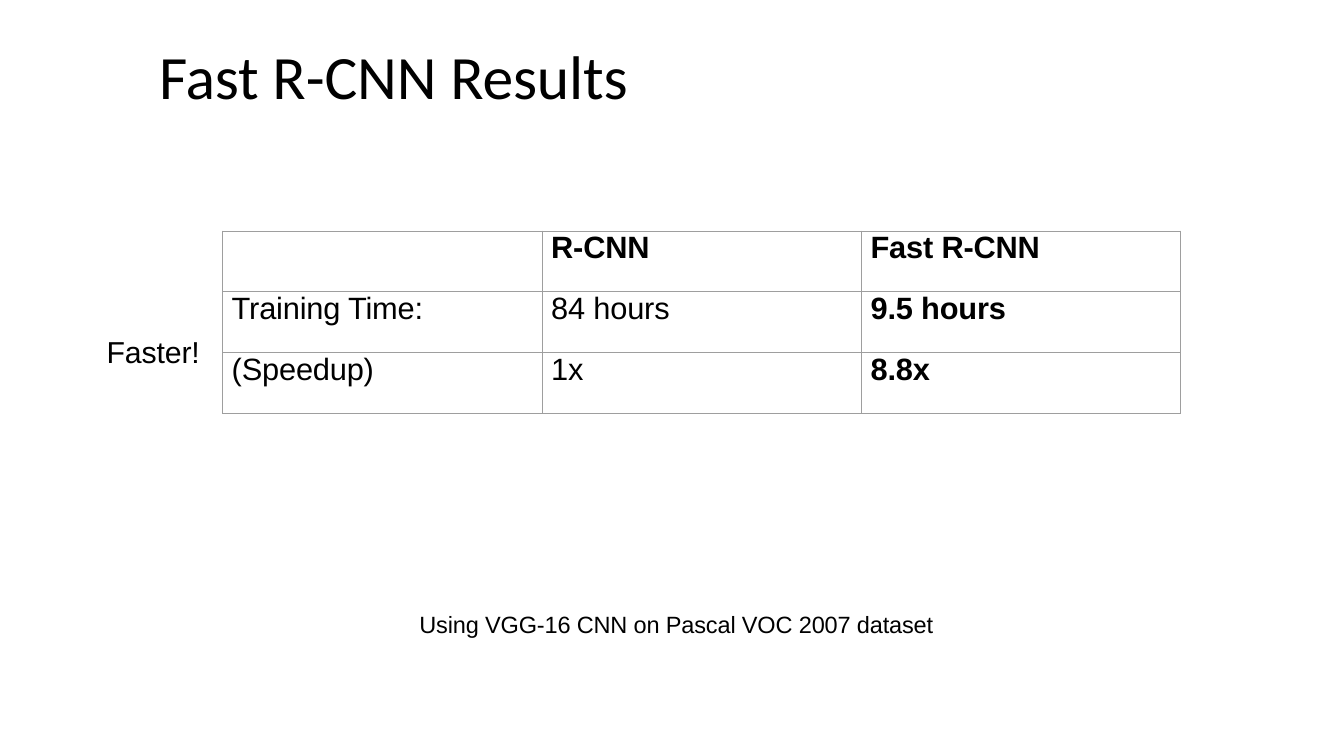
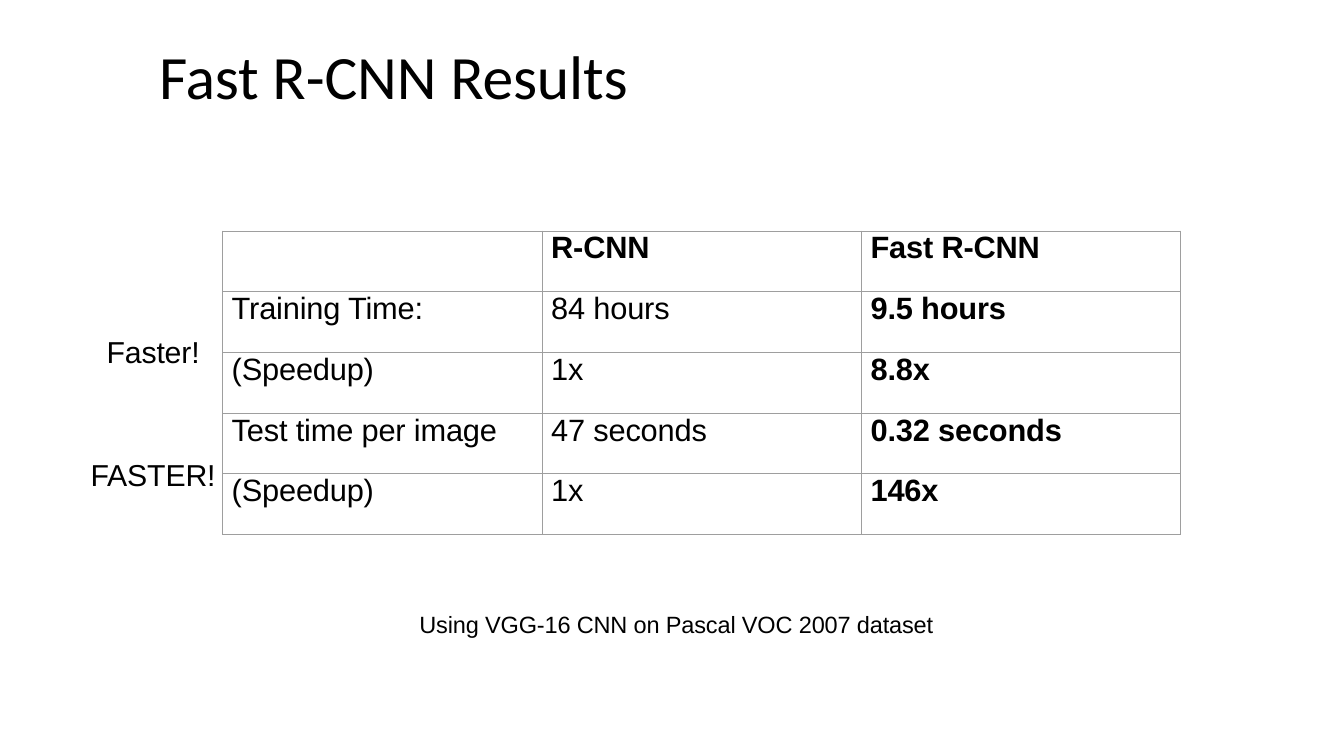
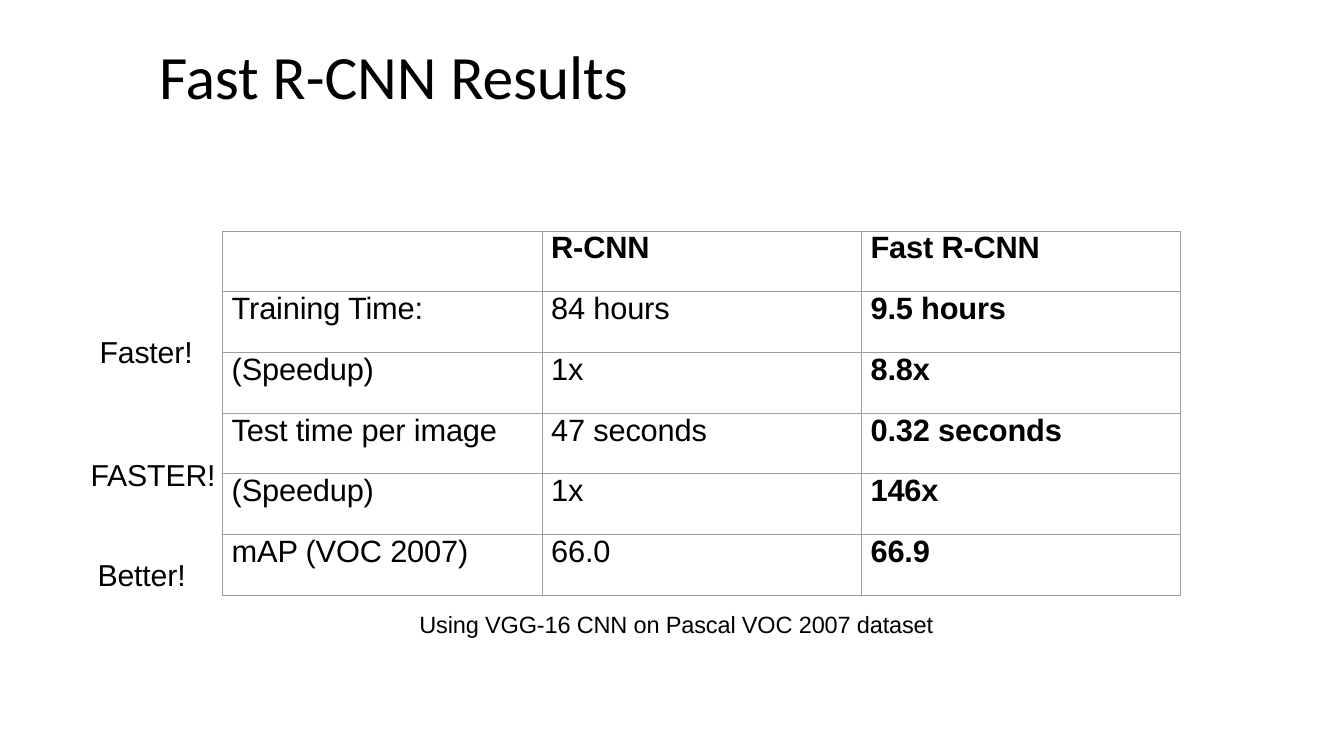
from dataclasses import dataclass

from lxml import etree
from pptx import Presentation
from pptx import util as u
from pptx.dml.color import RGBColor
from pptx.enum import text
from pptx.oxml.ns import qn

Cm, Pt = u.Cm, u.Pt
LEFT, CENTER = text.PP_ALIGN.LEFT, text.PP_ALIGN.CENTER


@dataclass(frozen=True)
class Theme:
    ink: str = "000000"
    grid: str = "9E9E9E"
    grid_width: float = 0.75
    title_font: str = "Calibri"
    body_font: str = "Arial"
    title_size: float = 44
    cell_size: float = 22
    label_size: float = 21.6
    caption_size: float = 16.8
    tracking: int = -10


@dataclass(frozen=True)
class Label:
    """A remark beside the table; indent in cm, gap above in points."""
    words: str
    indent: float = 0
    gap: float = 0
    align: int = LEFT


class Deck:
    def __init__(self, theme):
        self.theme = theme
        self.prs = Presentation()
        self.prs.slide_width, self.prs.slide_height = Cm(33.87), Cm(19.05)
        self.s = None

    def new_slide(self):
        self.s = self.prs.slides.add_slide(self.prs.slide_layouts[6])

    def box(self, left, top, width, height):
        sp = self.s.shapes.add_textbox(Cm(left), Cm(top), Cm(width), Cm(height))
        tf = sp.text_frame
        tf.word_wrap = True
        tf.auto_size = text.MSO_AUTO_SIZE.SHAPE_TO_FIT_TEXT
        tf.margin_left = tf.margin_right = tf.margin_top = tf.margin_bottom = 0
        return tf

    def add_text(self, p, words, size, font=None, bold=False, indent=0.05):
        p._p.get_or_add_pPr().set("marL", str(Cm(indent)))
        r = p.add_run()
        r.text = words
        r.font.name = font or self.theme.body_font
        r.font.size = Pt(size)
        r.font.bold = bold
        r.font.color.rgb = RGBColor.from_string(self.theme.ink)
        r._r.get_or_add_rPr().set("spc", str(self.theme.tracking))

    def title(self, words):
        tf = self.box(3.96, 0.74, 27.56, 2.31)
        tf.vertical_anchor = text.MSO_ANCHOR.MIDDLE
        self.add_text(tf.paragraphs[0], words, self.theme.title_size, self.theme.title_font)

    def caption(self, words):
        p = self.box(10.52, 15.44, 13.18, 0.64).paragraphs[0]
        p.line_spacing = Pt(18.2)
        self.add_text(p, words, self.theme.caption_size)

    def labels(self, left, width, height, labels):
        tf = self.box(left, 8.41, width, height)
        for i, label in enumerate(labels):
            p = tf.add_paragraph() if i else tf.paragraphs[0]
            p.alignment = label.align
            p.space_before = Pt(label.gap)
            self.add_text(p, label.words, self.theme.label_size, indent=label.indent)

    def outline(self, cell):
        tc_pr = cell._tc.get_or_add_tcPr()
        for side in ("a:lnL", "a:lnR", "a:lnT", "a:lnB"):
            ln = etree.SubElement(tc_pr, qn(side), w=str(Pt(self.theme.grid_width)))
            fill = etree.SubElement(ln, qn("a:solidFill"))
            etree.SubElement(fill, qn("a:srgbClr"), val=self.theme.grid)

    def table(self, rows, col_width=8.05, row_height=1.53):
        """Draws a grid whose first row and last column are bold."""
        n_rows, n_cols = len(rows), len(rows[0])
        table = self.s.shapes.add_table(
            n_rows, n_cols, Cm(5.61), Cm(5.82),
            Cm(n_cols * col_width), Cm(n_rows * row_height)).table
        table.first_row = table.horz_banding = False
        for i, row in enumerate(rows):
            for j, words in enumerate(row):
                cell = table.cell(i, j)
                cell.margin_left = cell.margin_right = 0
                cell.margin_top = cell.margin_bottom = 0
                self.outline(cell)
                cell.fill.background()
                if words:
                    p = cell.text_frame.paragraphs[0]
                    p.space_before = Pt(5.7)
                    self.add_text(p, words, self.theme.cell_size,
                                  bold=i == 0 or j == n_cols - 1, indent=0.23)


RESULTS = [
    ("", "R-CNN", "Fast R-CNN"),
    ("Training Time:", "84 hours", "9.5 hours"),
    ("(Speedup)", "1x", "8.8x"),
    ("Test time per image", "47 seconds", "0.32 seconds"),
    ("(Speedup)", "1x", "146x"),
    ("mAP (VOC 2007)", "66.0", "66.9"),
]
TEST_LABEL = Label("FASTER!", gap=61.6, align=CENTER)

# rows shown, then left, width and height of the labels, then the labels
STEPS = [
    (3, 2.64, 2.46, 0.91, [Label("Faster!", indent=0.05)]),
    (5, 2.21, 3.3, 4.01, [Label("Faster!", align=CENTER), TEST_LABEL]),
    (6, 2.21, 3.3, 6.48, [Label("Faster!", indent=0.3), TEST_LABEL,
                          Label("Better!", indent=0.25, gap=45.2)]),
]


def main():
    deck = Deck(Theme())
    for shown, left, width, height, labels in STEPS:
        deck.new_slide()
        deck.title("Fast R-CNN Results")
        deck.caption("Using VGG-16 CNN on Pascal VOC 2007 dataset")
        deck.table(RESULTS[:shown])
        deck.labels(left, width, height, labels)
    deck.prs.save("out.pptx")


if __name__ == "__main__":
    main()
